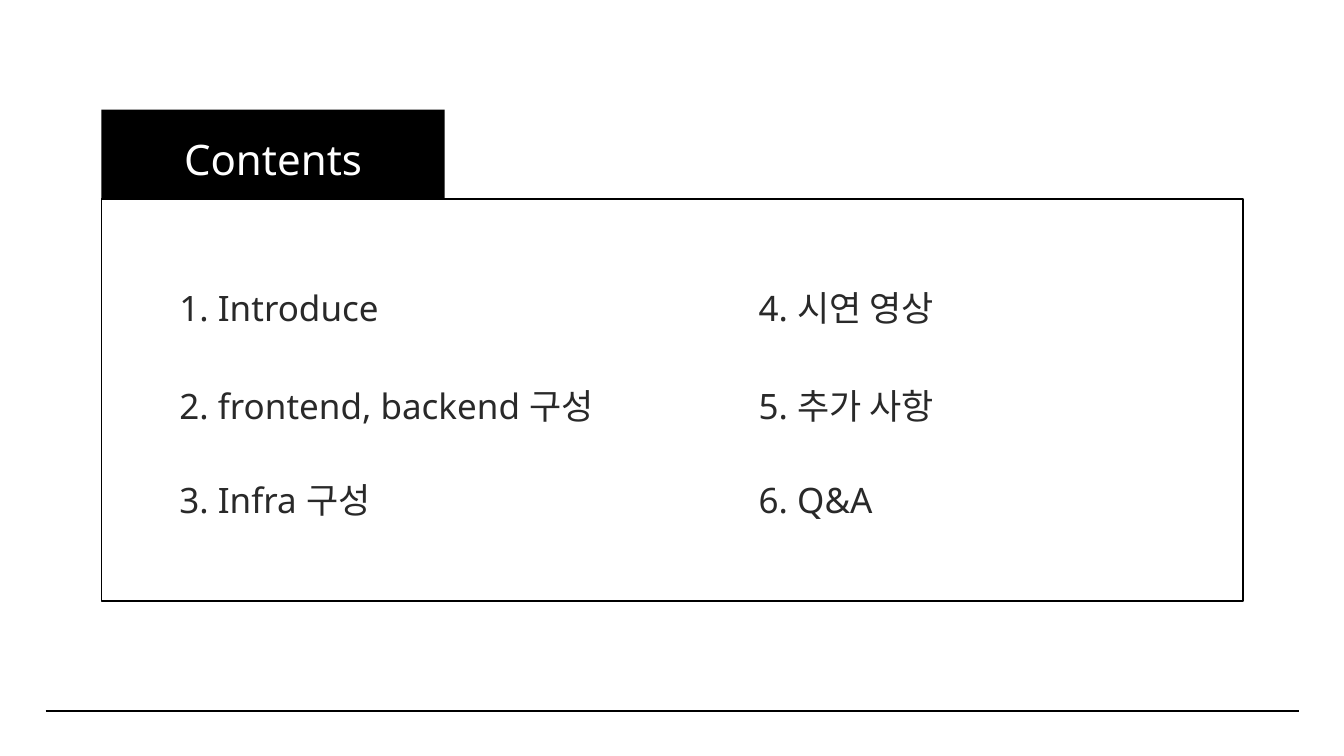
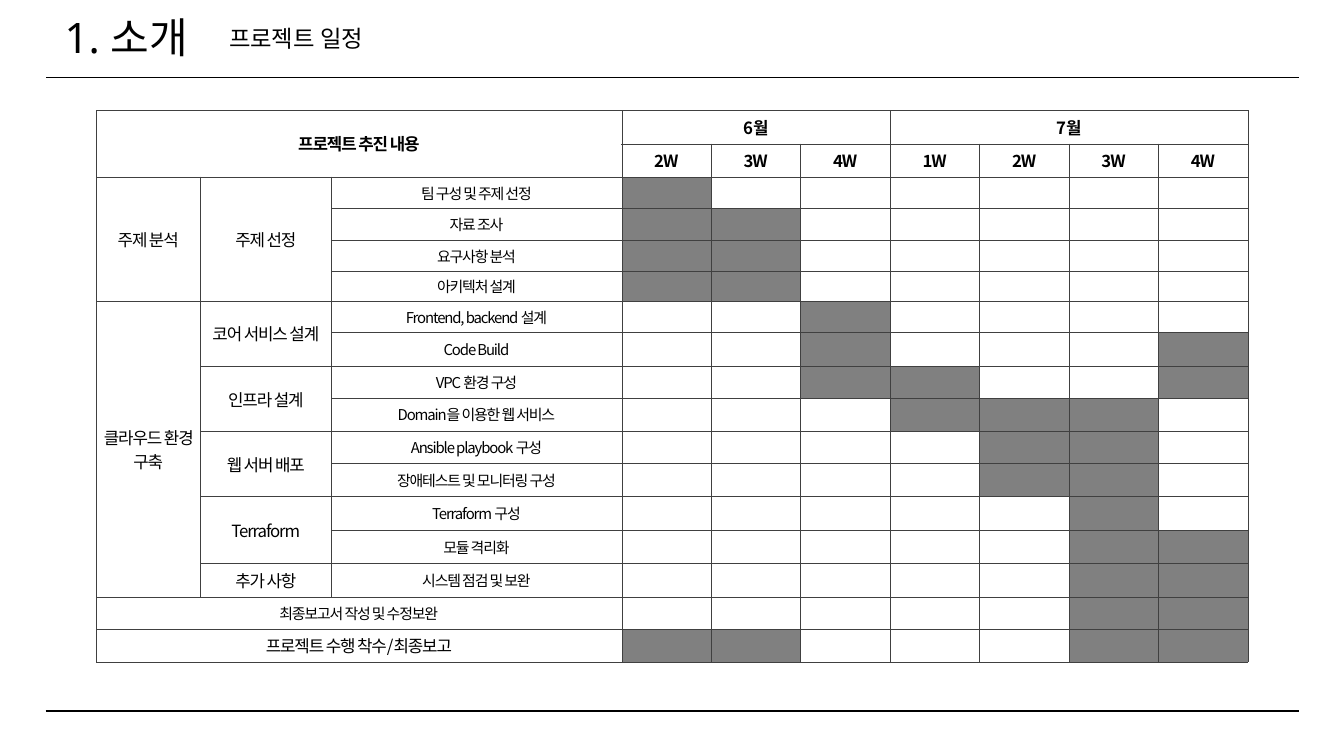
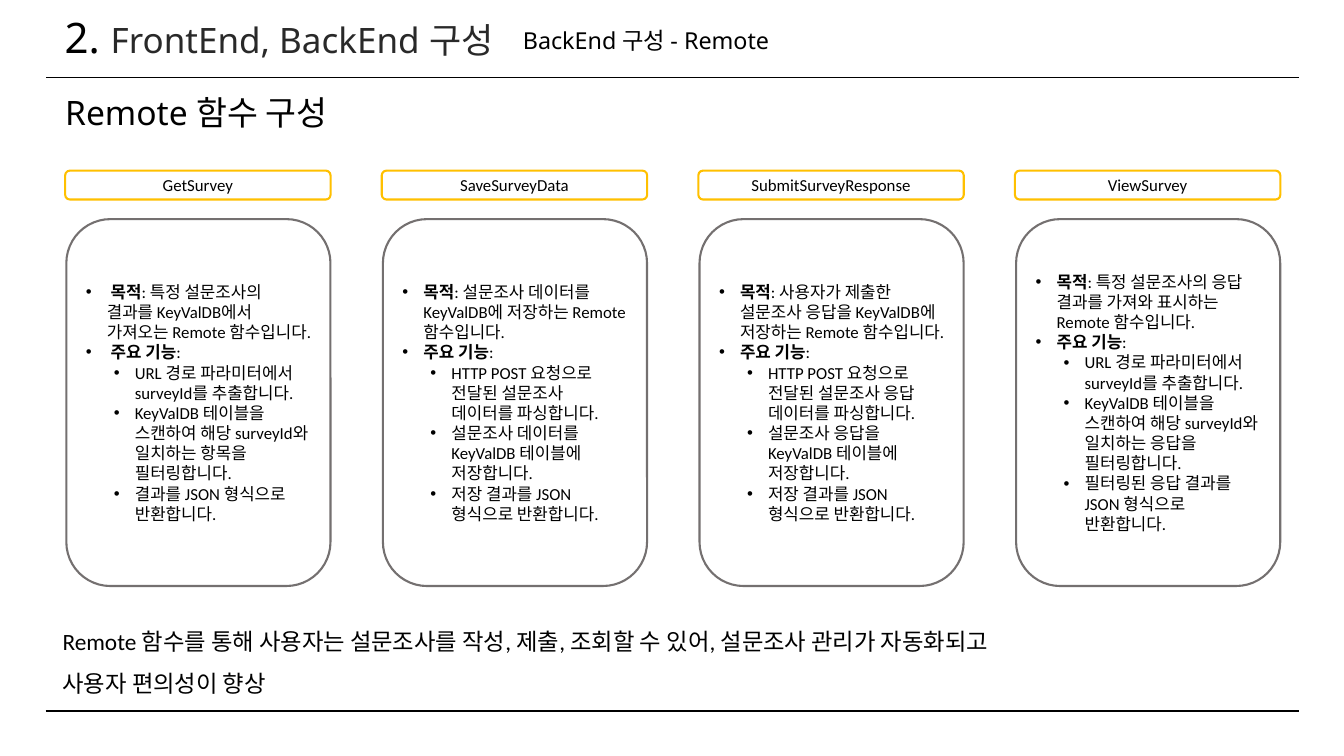
from dataclasses import dataclass

from lxml import etree
from pptx import Presentation
from pptx.dml.color import RGBColor
from pptx.enum.shapes import MSO_CONNECTOR, MSO_SHAPE
from pptx.enum.text import MSO_ANCHOR, MSO_AUTO_SIZE, PP_ALIGN
from pptx.oxml.ns import qn
from pptx.util import Pt

LEFT, CENTER, JUSTIFY = PP_ALIGN.LEFT, PP_ALIGN.CENTER, PP_ALIGN.JUSTIFY
TOP, MIDDLE = MSO_ANCHOR.TOP, MSO_ANCHOR.MIDDLE
FIT_SHAPE, NO_FIT = MSO_AUTO_SIZE.SHAPE_TO_FIT_TEXT, MSO_AUTO_SIZE.NONE
STRAIGHT = MSO_CONNECTOR.STRAIGHT
RECTANGLE, ROUNDED = MSO_SHAPE.RECTANGLE, MSO_SHAPE.ROUNDED_RECTANGLE


@dataclass(frozen=True)
class Theme:
    """Colours, fonts and type sizes of the deck."""
    black: str = "000000"
    white: str = "FFFFFF"
    ink: str = "292929"
    bar: str = "808080"
    grid: str = "404040"
    accent: str = "FFC000"
    outline: str = "747070"
    heading_font: str = "Noto Sans"
    body_font: str = "Calibri"
    korean_font: str = "Noto Sans CJK KR"
    title: float = 45
    item: float = 37.5
    section: float = 36
    subtitle: float = 25
    body: float = 18
    small: float = 16


T = Theme()

CONTENTS = (
    (192.2, ("1. Introduce", "2. frontend, backend 구성", "3. Infra 구성")),
    (812.9, ("4. 시연 영상", "5. 추가 사항", "6. Q&A")),
)
CONTENTS_TOPS = (299.5, 404.5, 504.7)

COLUMN_WIDTHS = (111.6, 140.4, 311) + (95.86,) * 7
ROW_HEIGHTS = (36, 35.3, 33.8, 33.8, 33.8, 31.7, 33.8, 36, 33.8, 36,
               33.8, 36, 36, 36, 36, 33.8, 35.3)
MERGES = (
    (0, 0, 1, 2), (0, 3, 0, 5), (0, 6, 0, 9),
    (2, 0, 5, 0), (2, 1, 5, 1), (6, 0, 14, 0),
    (6, 1, 7, 1), (8, 1, 9, 1), (10, 1, 11, 1), (12, 1, 13, 1),
    (15, 0, 15, 2), (16, 0, 16, 2),
)
HEADER_ROWS = (
    ("프로젝트 추진 내용", "", "", "6월", "", "", "7월", "", "", ""),
    ("", "", "", "2W", "3W", "4W", "1W", "2W", "3W", "4W"),
)
SCHEDULE = (
    ("주제 분석", "주제 선정", "팀 구성 및 주제 선정", "#......"),
    ("", "", "자료 조사", "##....."),
    ("", "", "요구사항 분석", "##....."),
    ("", "", "아키텍처 설계", "##....."),
    ("클라우드 환경 구축", "코어 서비스 설계", "Frontend, backend 설계", "..#...."),
    ("", "", "Code Build", "..#...#"),
    ("", "인프라 설계", "VPC 환경 구성", "..##..#"),
    ("", "", "Domain을 이용한 웹 서비스", "...###."),
    ("", "웹 서버 배포", "Ansible playbook 구성", "....##."),
    ("", "", "장애테스트 및 모니터링 구성", "....##."),
    ("", "Terraform", "Terraform 구성", ".....#."),
    ("", "", "모듈 격리화", ".....##"),
    ("", "추가 사항", "시스템 점검 및 보완", ".....##"),
    ("최종보고서 작성 및 수정보완", "", "", ".....##"),
    ("프로젝트 수행 착수/최종보고", "", "", "##...##"),
)
REPORT_ROW = 15

FUNCTIONS = (
    ("GetSurvey", " ", "특정 설문조사의 결과를 KeyValDB에서 가져오는 Remote 함수입니다.", (
        "URL 경로 파라미터에서 surveyId를 추출합니다.",
        "KeyValDB 테이블을 스캔하여 해당 surveyId와 일치하는 항목을 필터링합니다.",
        "결과를 JSON 형식으로 반환합니다.")),
    ("SaveSurveyData", "", "설문조사 데이터를 KeyValDB에 저장하는 Remote 함수입니다.", (
        "HTTP POST 요청으로 전달된 설문조사 데이터를 파싱합니다.",
        "설문조사 데이터를 KeyValDB 테이블에 저장합니다.",
        "저장 결과를 JSON 형식으로 반환합니다.")),
    ("SubmitSurveyResponse", "",
     "사용자가 제출한 설문조사 응답을 KeyValDB에 저장하는 Remote 함수입니다.", (
         "HTTP POST 요청으로 전달된 설문조사 응답 데이터를 파싱합니다.",
         "설문조사 응답을 KeyValDB 테이블에 저장합니다.",
         "저장 결과를 JSON 형식으로 반환합니다.")),
    ("ViewSurvey", "", "특정 설문조사의 응답 결과를 가져와 표시하는 Remote 함수입니다.", (
        "URL 경로 파라미터에서 surveyId를 추출합니다.",
        "KeyValDB 테이블을 스캔하여 해당 surveyId와 일치하는 응답을 필터링합니다.",
        "필터링된 응답 결과를 JSON 형식으로 반환합니다.")),
)
CARD_PITCH = 339.2


def rgb(color):
    """Return a colour object for a hex string."""
    return RGBColor.from_string(color)


def format_run(r, size, color=T.black, font=T.heading_font, bold=False):
    """Set the font of one run."""
    r.font.size, r.font.name, r.font.bold = Pt(size), font, bold
    r.font.color.rgb = rgb(color)
    ea = etree.SubElement(r._r.get_or_add_rPr(), qn("a:ea"))
    ea.set("typeface", T.korean_font)


def format_paragraph(p, size, color=T.black, font=T.heading_font,
                     align=LEFT, spacing=None, bold=False):
    """Set alignment, line spacing and the font of every run."""
    p.alignment = align
    if spacing:
        p.line_spacing = spacing
    for r in p.runs:
        format_run(r, size, color, font, bold)


def clear_margins(frame):
    """Remove the inner margins of a text frame or cell."""
    frame.margin_left = frame.margin_right = 0
    frame.margin_top = frame.margin_bottom = 0


def place(sp, left, top, width, height):
    """Move and size a shape."""
    sp.left, sp.top = Pt(left), Pt(top)
    sp.width, sp.height = Pt(width), Pt(height)


def add_rule(slide, left, top):
    """Draw a full-width horizontal rule."""
    line = slide.shapes.add_connector(
        STRAIGHT, Pt(left), Pt(top), Pt(left + 1342.3), Pt(top))
    line.line.color.rgb = rgb(T.black)
    line.line.width = Pt(1.5)
    etree.SubElement(line._element.spPr, qn("a:effectLst"))


def add_text(slide, box, text, size, **style):
    """Add a text box with no margins."""
    sp = slide.shapes.add_textbox(*map(Pt, box))
    tf = sp.text_frame
    tf.word_wrap, tf.auto_size = True, FIT_SHAPE
    clear_margins(tf)
    tf.text = text
    for p in tf.paragraphs:
        format_paragraph(p, size, **style)


def add_outline(slide, kind, box, color, width):
    """Add an unfilled shape with a coloured outline."""
    sp = slide.shapes.add_shape(kind, *map(Pt, box))
    sp.shadow.inherit = False
    sp.fill.background()
    sp.line.color.rgb = rgb(color)
    sp.line.width = Pt(width)
    sp.text_frame.word_wrap = True
    sp.text_frame.vertical_anchor = MIDDLE
    return sp


def set_title(slide, text, box, anchor=TOP, **style):
    """Place and format the title placeholder."""
    sp = slide.shapes.title
    place(sp, *box)
    tf = sp.text_frame
    tf.text = text
    tf.word_wrap, tf.auto_size = True, NO_FIT
    tf.vertical_anchor = anchor
    clear_margins(tf)
    format_paragraph(tf.paragraphs[0], T.title, **style)
    return sp


def add_slide(prs):
    """Add a title-only slide with the bottom rule."""
    slide = prs.slides.add_slide(prs.slide_layouts[5])
    add_rule(slide, 49, 761.8)
    return slide


def add_header(slide, title, title_width, subtitle, left, top):
    """Set the title line, its subtitle and the rule below."""
    sp = set_title(slide, title, (69.1, 21.6, title_width, 45.4),
                   align=JUSTIFY, spacing=Pt(45))
    add_text(slide, (left, top, 500, 25.2), subtitle, T.subtitle,
             align=JUSTIFY, spacing=Pt(25))
    add_rule(slide, 49.7, 82.8)
    return sp


def add_bullet(p, level):
    """Give a paragraph a hanging bullet at level 0 or 1."""
    pPr = p._p.get_or_add_pPr()
    pPr.set("marL", str(Pt(22.5 + 30 * level)))
    pPr.set("indent", str(-Pt(22.5)))
    color = etree.SubElement(pPr, qn("a:buClr"))
    etree.SubElement(color, qn("a:srgbClr")).set("val", T.black)
    etree.SubElement(pPr, qn("a:buFont")).set("typeface", "Arial")
    etree.SubElement(pPr, qn("a:buChar")).set("char", "•")


def add_function_card(slide, left, name, lead, purpose, features):
    """Add a function's name tag and its description card."""
    tag = add_outline(slide, ROUNDED, (left, 182.8, 284.4, 31), T.accent, 2.25)
    tag.text_frame.text = name
    format_paragraph(tag.text_frame.paragraphs[0], T.body,
                     font=T.body_font, align=CENTER)
    card = add_outline(slide, ROUNDED, (left + 1.3, 234.8, 283, 393.1),
                       T.outline, 2.25)
    tf = card.text_frame
    lines = [(0, lead + "목적", ": " + purpose), (0, lead + "주요 기능", ":")]
    lines += [(1, "", feature) for feature in features]
    for i, (level, label, text) in enumerate(lines):
        p = tf.add_paragraph() if i else tf.paragraphs[0]
        add_bullet(p, level)
        p.alignment = LEFT
        for part, bold in ((label, True), (text, False)):
            if part:
                r = p.add_run()
                r.text = part
                format_run(r, T.body, font=T.body_font, bold=bold)


def format_cell(cell, text, size, fill, bold):
    """Set a cell's borders, fill and centred text."""
    tcPr = cell._tc.get_or_add_tcPr()
    for side in ("a:lnL", "a:lnR", "a:lnT", "a:lnB"):
        ln = etree.SubElement(tcPr, qn(side), w=str(Pt(0.25)))
        color = etree.SubElement(etree.SubElement(ln, qn("a:solidFill")),
                                 qn("a:srgbClr"))
        color.set("val", T.grid)
    cell.fill.solid()
    cell.fill.fore_color.rgb = rgb(fill)
    cell.vertical_anchor = MIDDLE
    clear_margins(cell)
    if text:
        cell.text = text
        p = cell.text_frame.paragraphs[0]
        format_paragraph(p, size, font=T.korean_font, align=CENTER, bold=bold)
        for r in p.runs:
            r._r.get_or_add_rPr().set("spc", "-120")


def add_schedule(slide):
    """Add the project schedule table."""
    frame = slide.shapes.add_table(
        len(ROW_HEIGHTS), len(COLUMN_WIDTHS), Pt(103), Pt(118.1),
        Pt(sum(COLUMN_WIDTHS)), Pt(sum(ROW_HEIGHTS)))
    table = frame.table
    table.first_row = table.horz_banding = False
    for column, width in zip(table.columns, COLUMN_WIDTHS):
        column.width = Pt(width)
    for row, height in zip(table.rows, ROW_HEIGHTS):
        row.height = Pt(height)
    rows = HEADER_ROWS + tuple(row[:3] + tuple(row[3]) for row in SCHEDULE)
    for i, row in enumerate(rows):
        header = i < len(HEADER_ROWS)
        for j, value in enumerate(row):
            is_week = not header and j > 2
            small = not header and (j == 2 or i == REPORT_ROW)
            format_cell(table.cell(i, j), "" if is_week else value,
                        T.small if small else T.body,
                        T.bar if value == "#" else T.white, header)
    for top, left, bottom, right in MERGES:
        table.cell(top, left).merge(table.cell(bottom, right))


def build_contents(prs):
    """Build the contents slide."""
    slide = add_slide(prs)
    add_outline(slide, RECTANGLE, (108.7, 213.1, 1223.3, 431), T.black, 1.5)
    tab = set_title(slide, "Contents", (108.7, 117.4, 367.6, 95.8), MIDDLE,
                    color=T.white, align=CENTER, spacing=Pt(63))
    tab.fill.solid()
    tab.fill.fore_color.rgb = rgb(T.black)
    for left, items in CONTENTS:
        for top, item in zip(CONTENTS_TOPS, items):
            add_text(slide, (left, top, 486, 52.6), item, T.item,
                     color=T.ink, spacing=Pt(52.6))


def build_schedule(prs):
    """Build the project schedule slide."""
    slide = add_slide(prs)
    add_header(slide, "1. 소개", 306, "프로젝트 일정", 245.5, 31)
    add_schedule(slide)


def build_functions(prs):
    """Build the back-end functions slide."""
    slide = add_slide(prs)
    title = add_header(slide, "2. ", 525.6, "BackEnd 구성 - Remote", 560.2, 33.1)
    r = title.text_frame.paragraphs[0].add_run()
    r.text = "FrontEnd, BackEnd 구성"
    format_run(r, T.item, T.ink)
    add_text(slide, (69.8, 92.2, 1167.8, 50.4), "Remote 함수 구성", T.section,
             spacing=1.15)
    for i, function in enumerate(FUNCTIONS):
        add_function_card(slide, 69.8 + i * CARD_PITCH, *function)
    add_text(slide, (67, 656.6, 1316.9, 90.7),
             "Remote 함수를 통해 사용자는 설문조사를 작성, 제출, 조회할 수 있어, "
             "설문조사 관리가 자동화되고\n사용자 편의성이 향상",
             T.subtitle, font=T.body_font, align=JUSTIFY, spacing=1.5)


def main():
    """Build and save the deck."""
    prs = Presentation()
    prs.slide_width, prs.slide_height = Pt(1440), Pt(810)
    build_contents(prs)
    build_schedule(prs)
    build_functions(prs)
    prs.save("out.pptx")


if __name__ == "__main__":
    main()
